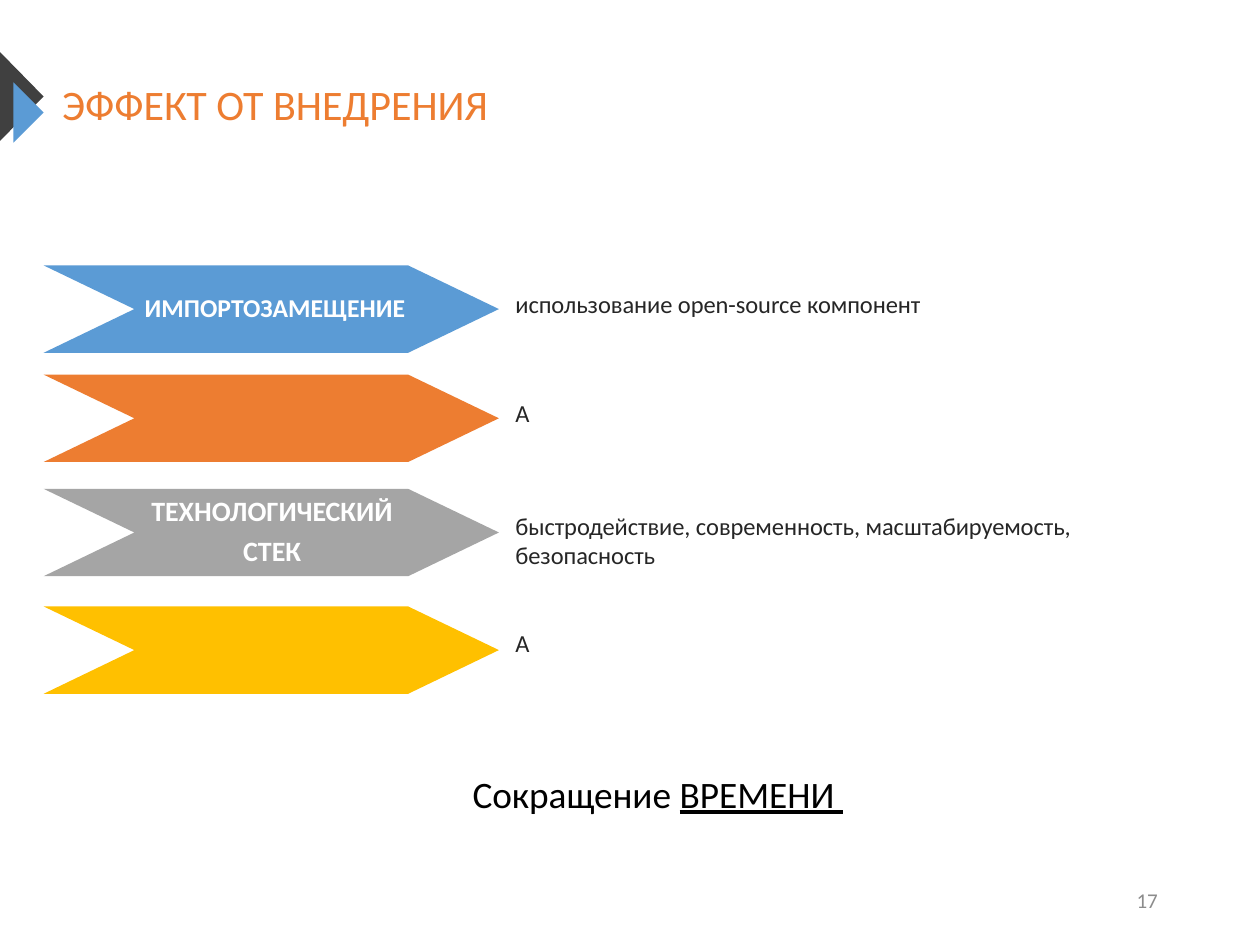
from pptx import Presentation
from pptx.dml.color import RGBColor
from pptx.enum.text import MSO_ANCHOR, PP_ALIGN
from pptx.util import Inches, Pt

LEFT, CENTER, RIGHT = PP_ALIGN.LEFT, PP_ALIGN.CENTER, PP_ALIGN.RIGHT
TOP, MIDDLE = MSO_ANCHOR.TOP, MSO_ANCHOR.MIDDLE

BLUE, ORANGE, GRAY, YELLOW = "5B9BD5", "ED7D31", "A5A5A5", "FFC000"
DARK, INK, WHITE, BLACK, MUTED = "404040", "262626", "FFFFFF", "000000", "8C8C8C"

SLIDE_WIDTH = 7.5
SLIDE_HEIGHT = SLIDE_WIDTH * 3 / 4

# Arrow top, colour, label lines, label size, description top, description
EFFECTS = [
    (1.58, BLUE, [" ИМПОРТОЗАМЕЩЕНИЕ"], 11,
     1.67, "использование open-source компонент"),
    (2.23, ORANGE, [], 11, 2.32, "А"),
    (2.91, GRAY, ["ТЕХНОЛОГИЧЕСКИЙ", "СТЕК"], 12,
     2.99, "быстродействие, современность, масштабируемость, безопасность"),
    (3.61, YELLOW, [], 11, 3.69, "А"),
]
ARROW_LEFT, ARROW_WIDTH, ARROW_HEIGHT, ARROW_POINT = 0.26, 2.71, 0.52, 0.54


def rgb(color):
    return RGBColor.from_string(color)


def style(paragraph, size, color, align=LEFT, bold=False):
    paragraph.alignment = align
    font = paragraph.font
    font.name, font.size, font.bold = "Calibri", Pt(size), bold
    font.color.rgb = rgb(color)


def set_margins(frame, left, top, right, bottom):
    frame.margin_left, frame.margin_top = Inches(left), Inches(top)
    frame.margin_right, frame.margin_bottom = Inches(right), Inches(bottom)


def add_text(slide, box, text, size, color, align=LEFT, anchor=TOP, wrap=True):
    frame = slide.shapes.add_textbox(*map(Inches, box)).text_frame
    frame.word_wrap = wrap
    frame.vertical_anchor = anchor
    paragraph = frame.paragraphs[0]
    paragraph.text = text
    style(paragraph, size, color, align)
    return frame


def add_polygon(slide, points, color):
    start, *rest = [(Inches(x), Inches(y)) for x, y in points]
    builder = slide.shapes.build_freeform(*start)
    builder.add_line_segments(rest, close=True)
    polygon = builder.convert_to_shape()
    polygon.shadow.inherit = False
    polygon.fill.solid()
    polygon.fill.fore_color.rgb = rgb(color)
    polygon.line.fill.background()
    return polygon


def add_triangle(slide, left, top, width, height, color):
    add_polygon(slide, [(left, top), (left + width, top + height / 2),
                        (left, top + height)], color)


def add_arrow(slide, top, color, label, size):
    right = ARROW_LEFT + ARROW_WIDTH
    middle, bottom = top + ARROW_HEIGHT / 2, top + ARROW_HEIGHT
    arrow = add_polygon(slide, [
        (ARROW_LEFT, top), (right - ARROW_POINT, top), (right, middle),
        (right - ARROW_POINT, bottom), (ARROW_LEFT, bottom),
        (ARROW_LEFT + ARROW_POINT, middle)], color)
    if not label:
        return
    frame = arrow.text_frame
    frame.word_wrap = True
    frame.vertical_anchor = MIDDLE
    set_margins(frame, 0.27, 0, 0.26, 0)
    frame.text = "\n".join(label)
    for paragraph in frame.paragraphs:
        style(paragraph, size, WHITE, CENTER, bold=True)
        paragraph.line_spacing = 0.9
        paragraph.space_after = Pt(0.35 * size)


def main():
    prs = Presentation()
    prs.slide_width, prs.slide_height = Inches(SLIDE_WIDTH), Inches(SLIDE_HEIGHT)
    slide = prs.slides.add_slide(prs.slide_layouts[6])

    # Heading with its corner marker
    add_triangle(slide, 0, 0.31, 0.26, 0.53, DARK)
    add_triangle(slide, 0.08, 0.49, 0.18, 0.36, BLUE)
    heading = add_text(slide, (0.37, 0.47, 2.54, 0.3), "ЭФФЕКТ ОТ ВНЕДРЕНИЯ",
                       18, ORANGE, wrap=False)
    set_margins(heading, 0, 0, 0, 0)

    # Effects: arrow and description
    for top, color, label, size, description_top, description in EFFECTS:
        add_arrow(slide, top, color, label, size)
        add_text(slide, (ARROW_LEFT + ARROW_WIDTH, description_top, 3.8, 0.34),
                 description, 10.5, INK)

    # Conclusion with the underlined word
    conclusion = add_text(slide, (1.47, 4.54, 4.89, 0.37), "Сокращение ",
                          16, BLACK, CENTER)
    time_word = conclusion.paragraphs[0].add_run()
    time_word.text = "ВРЕМЕНИ "
    time_word.font.underline = True

    # Page number
    add_text(slide, (5.3, 5.21, 1.69, 0.3), "17", 9, MUTED, RIGHT, MIDDLE)

    prs.save("out.pptx")


if __name__ == "__main__":
    main()
